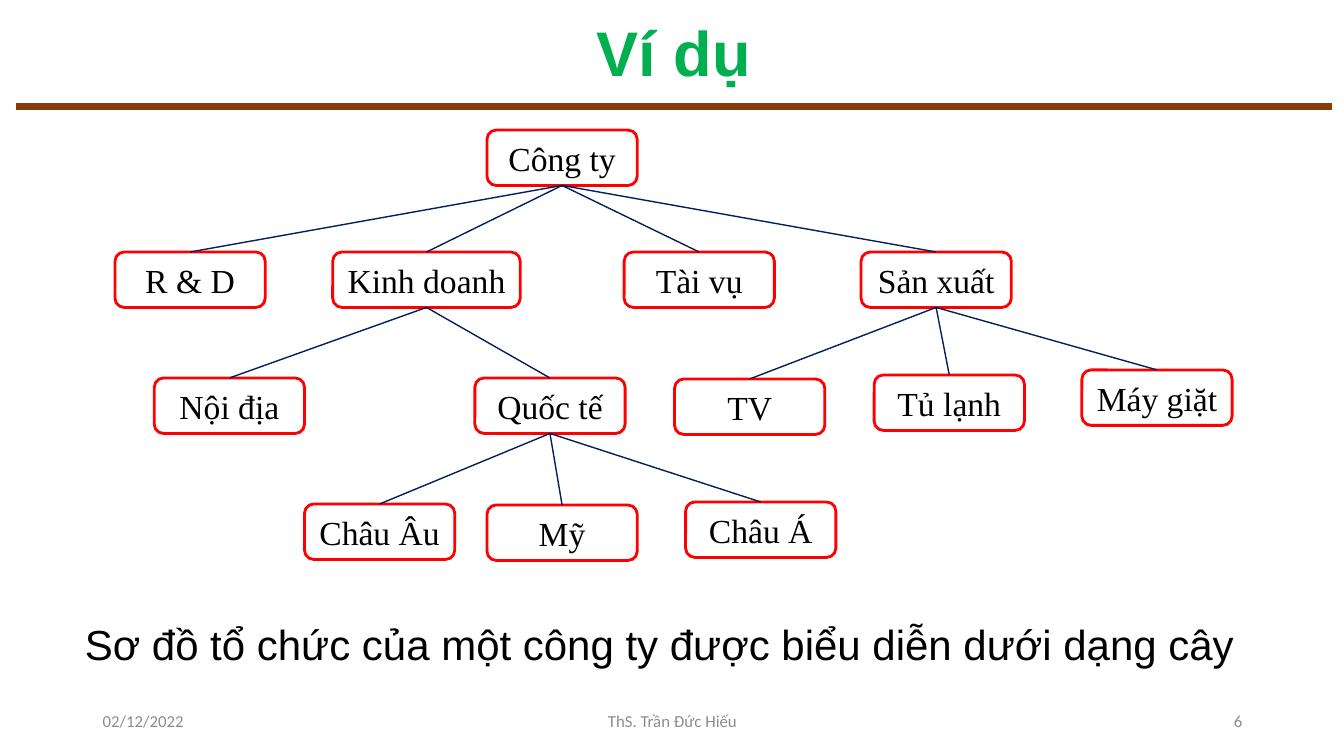
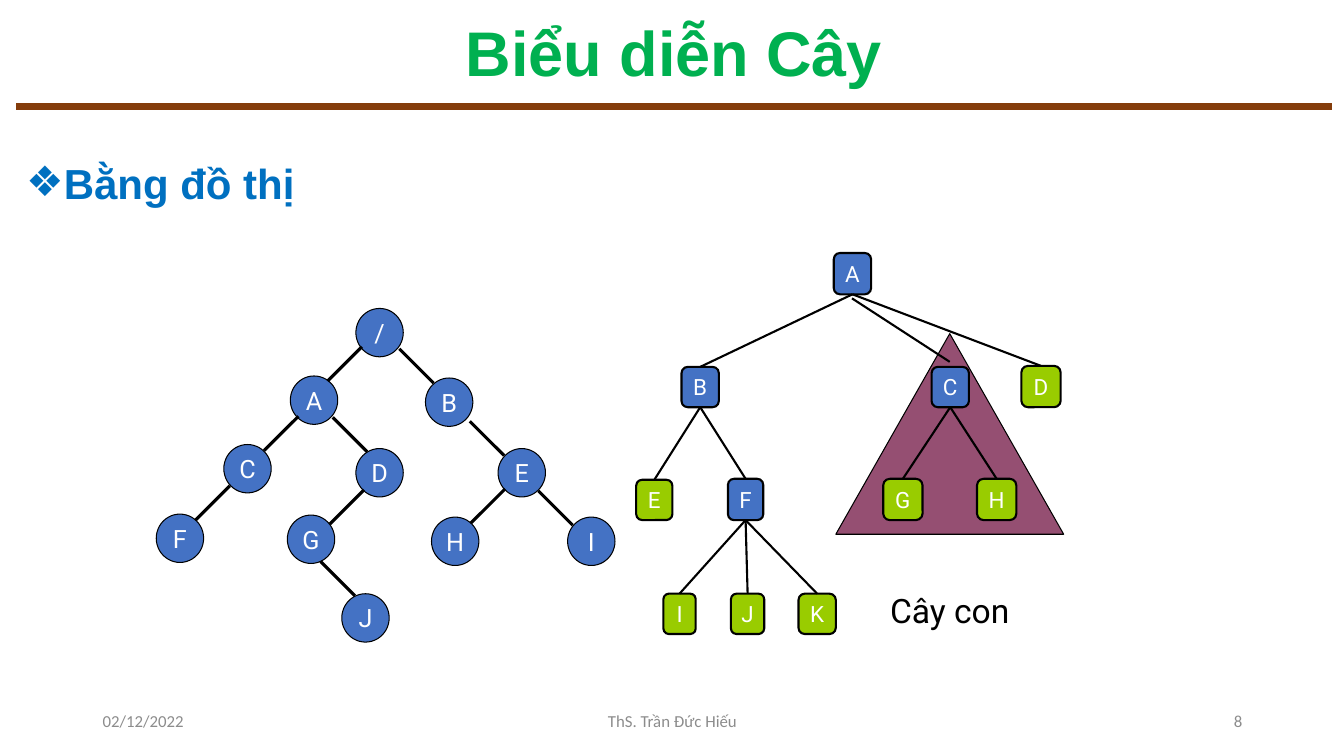
from lxml import etree
from pptx import Presentation
from pptx import util as u
from pptx.dml import color
from pptx.enum import shapes, text
from pptx.oxml import ns

PX = 9144
COLORS = {
    "band": "843C0B", "title": "00B050", "heading": "0070C0", "footer": "8C8C8C",
    "box": "FF0000", "branch": "002060", "inner": "4472C4", "leaf": "99CC00",
    "subtree": "954F72", "black": "000000", "white": "FFFFFF",
}
STYLES = {
    "title": ("title", {"name": "Arial", "size": u.Pt(45), "bold": True}),
    "heading": ("heading", {"name": "Arial", "size": u.Pt(30), "bold": True}),
    "caption": ("black", {"name": "Arial", "size": u.Pt(30), "bold": False}),
    "footer": ("footer", {"name": "Calibri", "size": u.Pt(12)}),
    "unit": ("black", {"name": "Times New Roman", "size": u.Pt(24)}),
    "circle": ("white", {"name": "Roboto", "size": u.Pt(18)}),
    "square": ("white", {"name": "Roboto", "size": u.Pt(16)}),
    "subtree": ("black", {"name": "Roboto", "size": u.Pt(24)}),
}
ALIGN = text.PP_ALIGN
ANCHOR = text.MSO_ANCHOR
SHAPE = shapes.MSO_SHAPE
TITLE_AREA = (16, 15, 1305, 81)
FOOTER_TOP, FOOTER_HEIGHT = 695, 40

UNIT_SIZE = (149, 55)
UNITS = {
    "Công ty": (483, 129),
    "R & D": (114, 250), "Kinh doanh": (330, 250, 186, 55),
    "Tài vụ": (619, 250), "Sản xuất": (854, 250),
    "Nội địa": (153, 375), "Quốc tế": (471, 375), "TV": (669, 376),
    "Tủ lạnh": (867, 372), "Máy giặt": (1073, 367),
    "Châu Âu": (302, 500), "Mỹ": (483, 501), "Châu Á": (680, 498),
}
DEPARTMENTS = {
    "Công ty": ["R & D", "Kinh doanh", "Tài vụ", "Sản xuất"],
    "Kinh doanh": ["Nội địa", "Quốc tế"],
    "Sản xuất": ["TV", "Tủ lạnh", "Máy giặt"],
    "Quốc tế": ["Châu Âu", "Mỹ", "Châu Á"],
}

CIRCLE_SIZE = (47, 48)
CIRCLES = {
    "/": (353, 306), "A": (288, 373), "D": (353, 445), "C": (222, 441),
    "F": (155, 510), "B": (422, 375), "G": (285, 511), "E": (494, 445),
    "I": (563, 513), "H": (428, 513), "J": (339, 589),
}
LINK_SPAN = 34
LEFT_LINKS = [(359, 344), (296, 413), (228, 482), (361, 486), (501, 485)]
RIGHT_LINKS = [(396, 346), (466, 418), (534, 487), (318, 557), (330, 414)]

SQUARES = {
    "A": (827, 251, 37, 41), "B": (676, 364, 37, 40), "C": (924, 364, 37, 40),
    "D": (1013, 363, 39, 41), "E": (631, 476, 36, 40), "F": (722, 475, 35, 41),
    "G": (876, 475, 39, 41), "H": (969, 475, 39, 41),
    "I": (658, 589, 32, 40), "J": (725, 589, 33, 40), "K": (792, 589, 37, 40),
}
BRANCHES = {"A": ["B", "D"], "B": ["E", "F"], "C": ["G", "H"], "F": ["I", "J", "K"]}


def px(*lengths):
    return [u.Emu(length * PX) for length in lengths]


def rgb(name):
    return color.RGBColor.from_string(COLORS[name])


def assign(target, values):
    for name, value in values.items():
        setattr(target, name, value)


def place(shape, area):
    assign(shape, dict(zip(("left", "top", "width", "height"), px(*area))))


def write(frame, words, style, align=ALIGN.CENTER, anchor=ANCHOR.MIDDLE, **layout):
    ink, font = STYLES[style]
    assign(frame, {"auto_size": text.MSO_AUTO_SIZE.NONE, "vertical_anchor": anchor, **layout})
    paragraph = frame.paragraphs[0]
    paragraph.alignment = align
    run = paragraph.add_run()
    run.text = words
    assign(run.font, font)
    run.font.color.rgb = rgb(ink)
    return paragraph


def set_bullet(paragraph, mark=None, indent=0):
    properties = paragraph._p.get_or_add_pPr()
    properties.set("marL", str(indent * PX))
    properties.set("indent", str(-indent * PX))
    bullet = etree.SubElement(properties, ns.qn("a:buChar" if mark else "a:buNone"))
    if mark:
        bullet.set("char", mark)


def add_line(slide, start, end, ink, weight):
    line = slide.shapes.add_connector(shapes.MSO_CONNECTOR.STRAIGHT, *px(*start, *end))
    line.line.color.rgb = rgb(ink)
    line.line.width = u.Pt(weight)
    etree.SubElement(line.element.spPr, ns.qn("a:effectLst"))
    return line


def add_node(slide, kind, area, fill, edge, weight):
    node = slide.shapes.add_shape(kind, *px(*area))
    node.shadow.inherit = False
    if fill:
        node.fill.solid()
        node.fill.fore_color.rgb = rgb(fill)
    else:
        node.fill.background()
    node.line.color.rgb = rgb(edge)
    node.line.width = u.Pt(weight)
    return node


def label_node(node, words, style):
    write(node.text_frame, words, style, word_wrap=False,
          margin_left=0, margin_right=0, margin_top=0, margin_bottom=0)


def join_tree(slide, nodes, children, ink, weight):
    for parent, names in children.items():
        for name in names:
            branch = add_line(slide, (0, 0), (0, 0), ink, weight)
            branch.begin_connect(nodes[parent], 2)
            branch.end_connect(nodes[name], 0)


def add_body(slide, area, words, style, align, spacing, mark=None, indent=0):
    body = slide.placeholders[1]
    place(body, area)
    paragraph = write(body.text_frame, words, style, align, ANCHOR.TOP)
    set_bullet(paragraph, mark, indent)
    assign(paragraph, {"line_spacing": spacing, "space_before": u.Pt(0)})


def add_footer(slide, number):
    for left, width, words, align in (
        (92, 300, "02/12/2022", ALIGN.LEFT),
        (442, 450, "ThS. Trần Đức Hiếu", ALIGN.CENTER),
        (942, 300, number, ALIGN.RIGHT),
    ):
        box = slide.shapes.add_textbox(*px(left, FOOTER_TOP, width, FOOTER_HEIGHT))
        write(box.text_frame, words, "footer", align, word_wrap=True)


def start_slide(deck, title, number):
    slide = deck.slides.add_slide(deck.slide_layouts[1])
    place(slide.shapes.title, TITLE_AREA)
    write(slide.shapes.title.text_frame, title, "title").line_spacing = 0.9
    add_footer(slide, number)
    return slide


def add_band(slide):
    band = add_line(slide, (16, 106), (1321, 106), "band", 5)
    slide.slide_layout.shapes.element.append(band.element)


def draw_company(slide):
    nodes = {}
    for name, area in UNITS.items():
        area = area if len(area) == 4 else area + UNIT_SIZE
        nodes[name] = add_node(slide, SHAPE.FLOWCHART_ALTERNATE_PROCESS, area, None, "box", 2)
        label_node(nodes[name], name, "unit")
    join_tree(slide, nodes, DEPARTMENTS, "branch", 1)


def draw_binary_tree(slide):
    for name, corner in CIRCLES.items():
        circle = add_node(slide, SHAPE.OVAL, corner + CIRCLE_SIZE, "inner", "black", 0.75)
        label_node(circle, name, "circle")
    for starts, step in ((LEFT_LINKS, -LINK_SPAN), (RIGHT_LINKS, LINK_SPAN)):
        for x, y in starts:
            add_line(slide, (x, y), (x + step, y + LINK_SPAN), "black", 2.25)


def draw_general_tree(slide):
    subtree = add_node(slide, SHAPE.ISOSCELES_TRIANGLE, (829, 331, 226, 199),
                       "subtree", "black", 0.75)
    write(subtree.text_frame, "Cây con", "subtree", anchor=ANCHOR.BOTTOM,
          word_wrap=False, margin_top=px(290)[0], margin_bottom=0)
    nodes = {}
    for name, area in SQUARES.items():
        fill = "inner" if name in BRANCHES else "leaf"
        nodes[name] = add_node(slide, SHAPE.ROUNDED_RECTANGLE, area, fill, "black", 1.5)
        label_node(nodes[name], name, "square")
    join_tree(slide, nodes, BRANCHES, "black", 1.5)
    add_line(slide, (845, 296), (942, 359), "black", 1.5)


def main():
    deck = Presentation()
    deck.slide_width, deck.slide_height = px(1333, 750)

    example = start_slide(deck, "Ví dụ", "6")
    add_band(example)
    add_body(example, (67, 589, 1175, 121),
             "Sơ đồ tổ chức của một công ty được biểu diễn dưới dạng cây",
             "caption", ALIGN.CENTER, 1.4)
    draw_company(example)

    graph = start_slide(deck, "Biểu diễn Cây", "8")
    add_body(graph, (16, 136, 1305, 605), "Bằng đồ thị", "heading", ALIGN.LEFT,
             1.3, "❖", 25)
    draw_binary_tree(graph)
    draw_general_tree(graph)

    deck.save("out.pptx")


if __name__ == "__main__":
    main()
